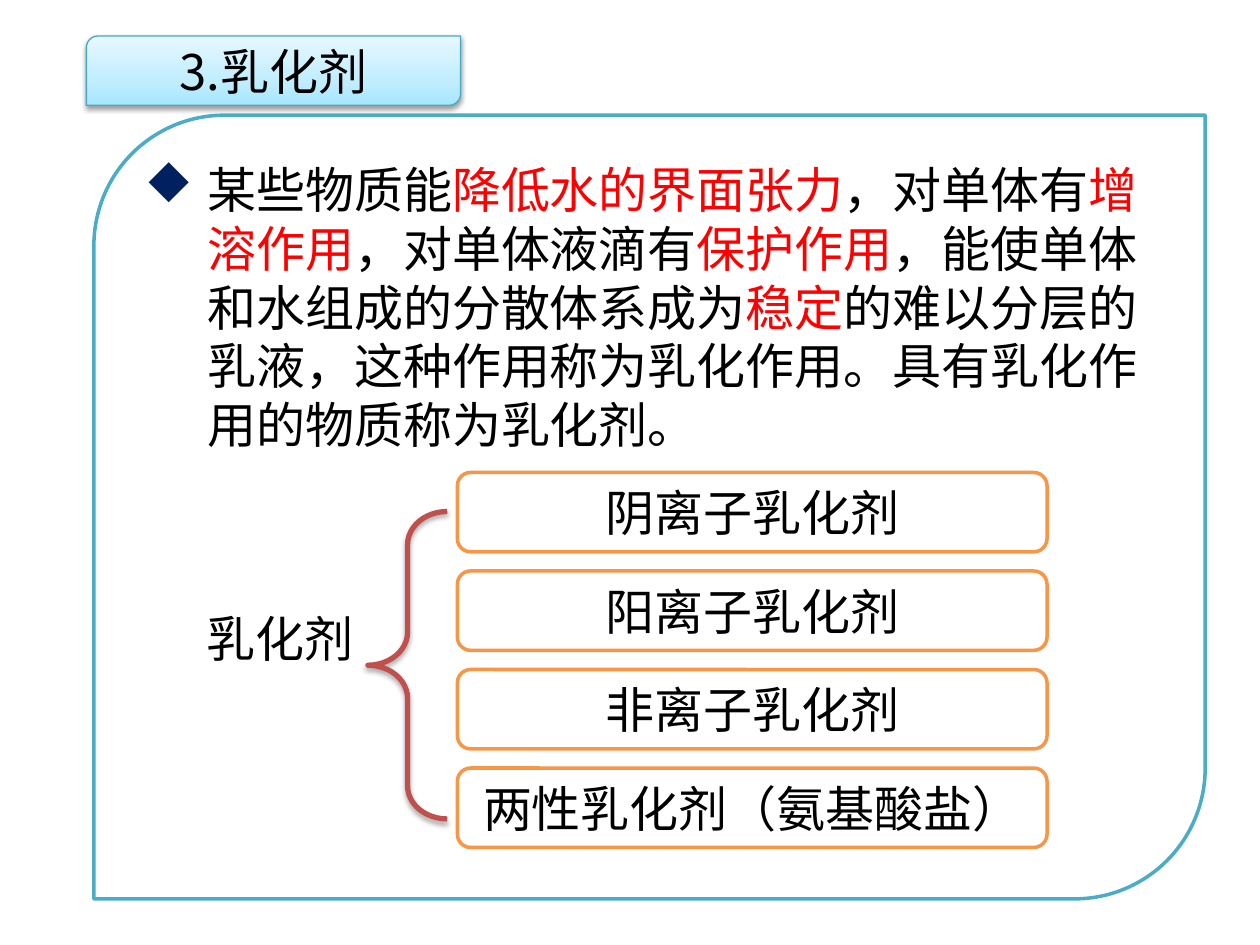
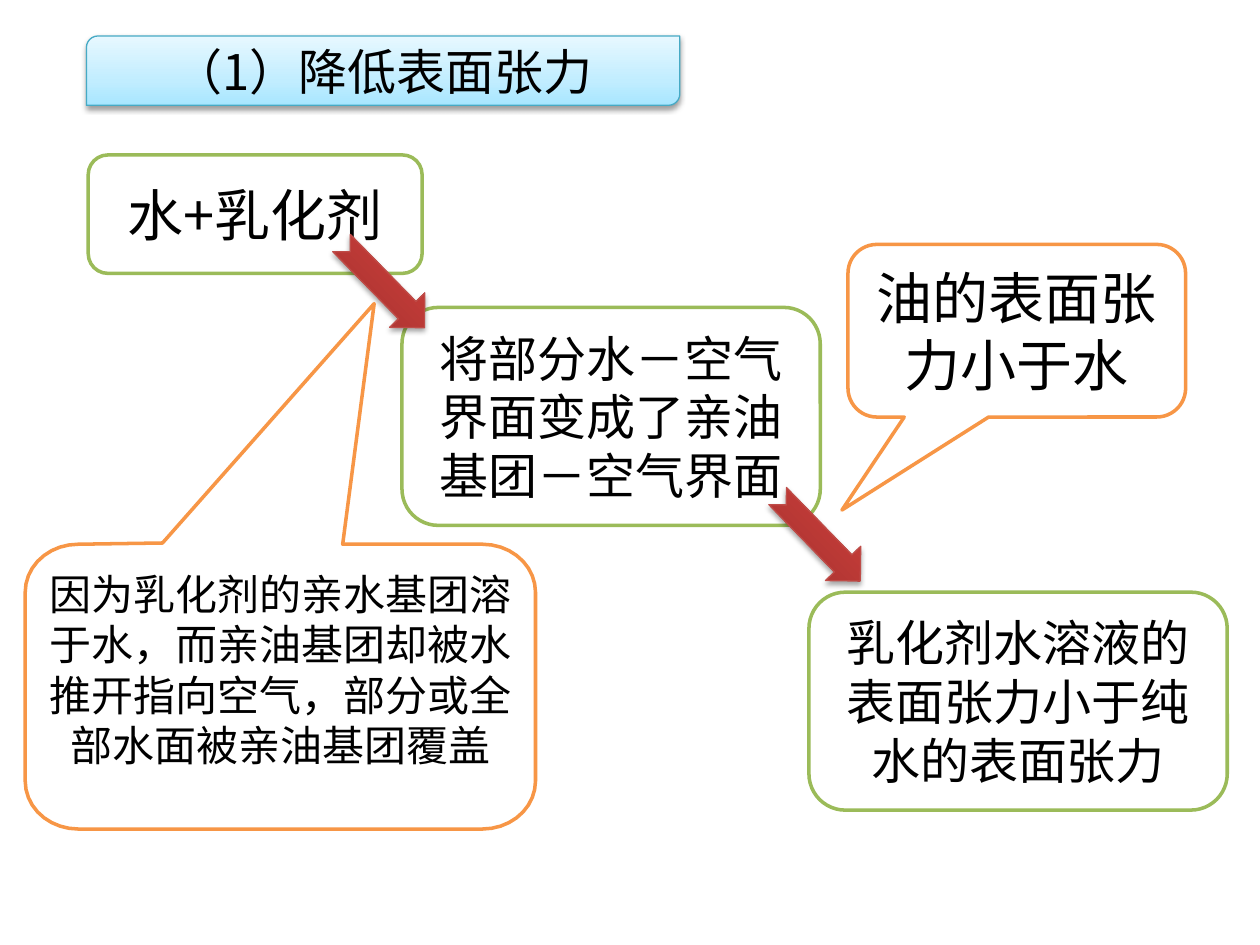
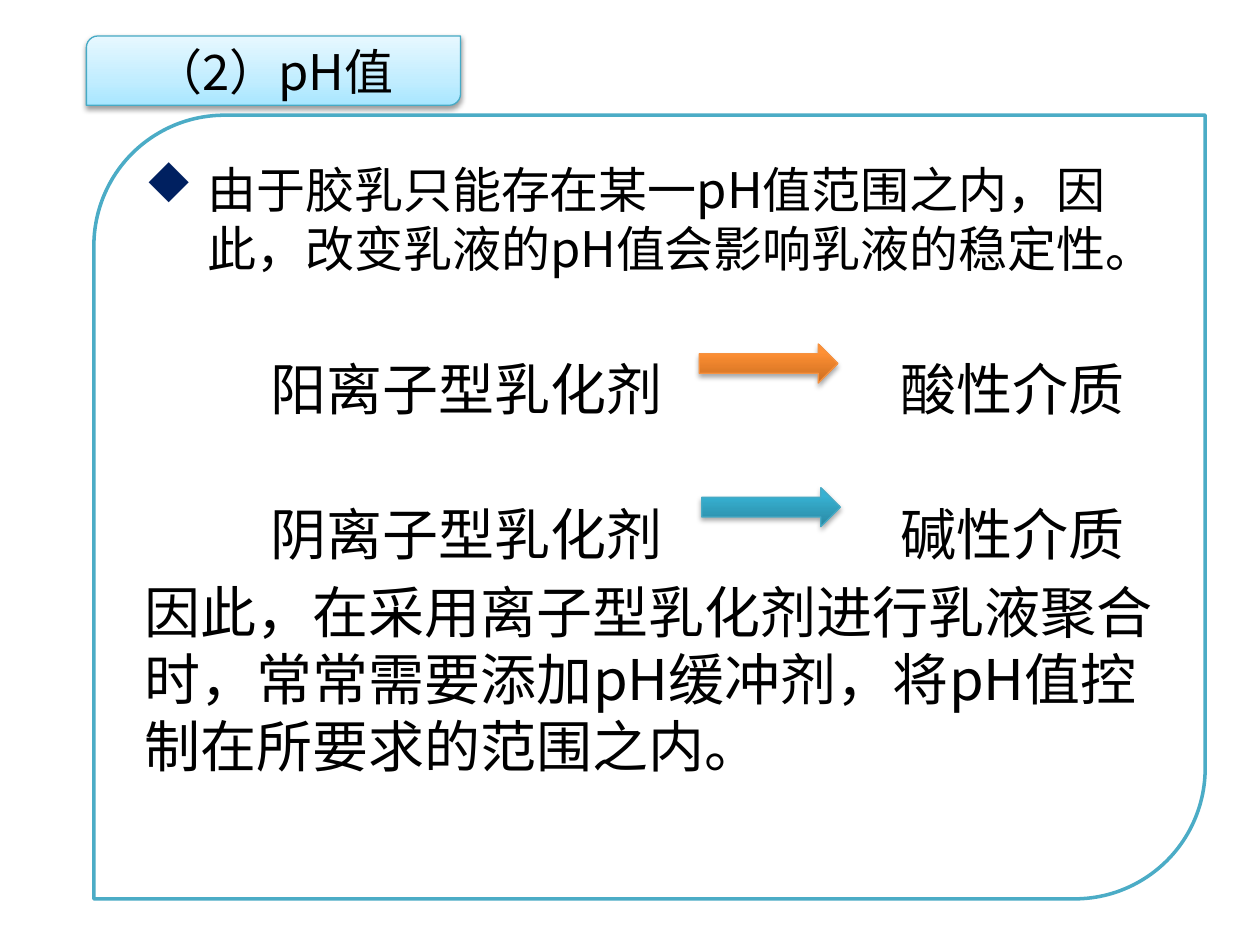
import copy
import math
from lxml import etree
from pptx import Presentation
from pptx import util as u
from pptx.dml.color import RGBColor
from pptx.enum import shapes, text
from pptx.oxml import ns

FONT = "Noto Sans CJK SC"
BLACK = RGBColor(0, 0, 0)
WHITE = RGBColor(0xFF, 0xFF, 0xFF)
RED = RGBColor(0xFF, 0, 0)
TEAL = RGBColor(0x4B, 0xAC, 0xC6)
TEAL_EDGE = RGBColor(0x46, 0xAA, 0xC5)
ORANGE = RGBColor(0xF7, 0x96, 0x46)
ORANGE_EDGE = RGBColor(0xF6, 0x92, 0x40)
GREEN = RGBColor(0x9B, 0xBB, 0x59)
BRICK = RGBColor(0xC0, 0x50, 0x4D)
BRICK_EDGE = RGBColor(0xBF, 0x4C, 0x48)
NAVY = RGBColor(0x00, 0x20, 0x60)
ICE = [(0, RGBColor(0xA7, 0xE6, 0xFF)), (0.35, RGBColor(0xC1, 0xED, 0xFF)), (1, RGBColor(0xE7, 0xF8, 0xFF))]
RED_BLEND = [(0, RGBColor(0x9C, 0x2F, 0x2D)), (0.8, RGBColor(0xCB, 0x3E, 0x3A)), (1, RGBColor(0xCE, 0x3B, 0x37))]
ORANGE_BLEND = [(0, RGBColor(0xCC, 0x6E, 0x20)), (0.8, RGBColor(0xFF, 0x90, 0x34)), (1, RGBColor(0xFF, 0x91, 0x36))]
TEAL_BLEND = [(0, RGBColor(0x2A, 0x88, 0xA2)), (0.8, RGBColor(0x37, 0xB1, 0xD2)), (1, RGBColor(0x34, 0xB4, 0xD6))]

STYLES = {
    "title": (ICE, TEAL_EDGE, 0.75, (38, 1.6)),
    "panel": (None, TEAL, 2, None),
    "brace": (None, BRICK, 3, (35, 1.8)),
    "orange": (WHITE, ORANGE, 2, None),
    "green": (WHITE, GREEN, 2, None),
    "red arrow": (RED_BLEND, BRICK_EDGE, 0.75, (35, 1.8)),
    "orange arrow": (ORANGE_BLEND, ORANGE_EDGE, 0.75, (35, 1.8)),
    "teal arrow": (TEAL_BLEND, TEAL_EDGE, 0.75, (35, 1.8)),
}


def dress(box, style):
    fill, edge, width, shadow = STYLES[style]
    if fill is None:
        box.fill.background()
    elif isinstance(fill, list):
        box.fill.gradient()
        box.fill.gradient_angle = 90
        stops = box._element.spPr.find(".//" + ns.qn("a:gsLst"))
        stops.append(copy.deepcopy(stops[0]))
        for stop, (position, color) in zip(box.fill.gradient_stops, fill):
            stop.color.rgb = color
            stop.position = position
    else:
        box.fill.solid()
        box.fill.fore_color.rgb = fill
    box.line.color.rgb = edge
    box.line.width = u.Pt(width)
    box.shadow.inherit = False
    if shadow:
        opacity, distance = shadow
        effects = box._element.spPr.find(ns.qn("a:effectLst"))
        outer = etree.SubElement(effects, ns.qn("a:outerShdw"), blurRad=str(u.Pt(3.1)),
                                 dist=str(u.Pt(distance)), dir="5400000", rotWithShape="0")
        black = etree.SubElement(outer, ns.qn("a:srgbClr"), val=str(BLACK))
        etree.SubElement(black, ns.qn("a:alpha"), val=str(opacity * 1000))


def write(box, lines, align=text.PP_ALIGN.CENTER, anchor=text.MSO_ANCHOR.MIDDLE, wrap=True):
    frame = box.text_frame
    frame.word_wrap = wrap
    frame.vertical_anchor = anchor
    for number, (size, line) in enumerate(lines):
        para = frame.paragraphs[0] if number == 0 else frame.add_paragraph()
        para.alignment = align
        para.line_spacing = u.Pt(size * 1.2)
        for order, part in enumerate(line.split("|")):
            span = para.add_run()
            span.text = part
            span.font.color.rgb = RED if order % 2 else BLACK
            for name, value in {"name": FONT, "size": u.Pt(size)}.items():
                setattr(span.font, name, value)
            etree.SubElement(span._r.rPr, ns.qn("a:ea"), typeface=FONT)


deck = Presentation()
deck.slide_width, deck.slide_height = u.Inches(10), u.Inches(7.5)
CELL = deck.slide_width // 100
pages = [deck.slides.add_slide(deck.slide_layouts[6]) for _ in range(3)]

KIND = shapes.MSO_SHAPE
DIAGONAL = KIND.ROUND_2_DIAG_RECTANGLE
ROUNDED = KIND.FLOWCHART_ALTERNATE_PROCESS
NOTCHED = KIND.NOTCHED_RIGHT_ARROW

for page, width, title in zip(pages, (29.7, 47.1, 29.7), ("3.乳化剂", "（1）降低表面张力", "（2）pH值")):
    box = page.shapes.add_shape(DIAGONAL, *[round(n * CELL) for n in (6.86, 2.86, width, 5.5)])
    dress(box, "title")
    write(box, [(28, title)])

PANELS = [
    (pages[0], [(28, "某些物质能|降低水的界面张力|，对单体有|增溶作用|，对单体液滴有|保护作用|，能使单体和水组成的分散体系成为|稳定|的难以分层的乳液，这种作用称为乳化作用。具有乳化作用的物质称为乳化剂。")]),
    (pages[2], [
        (28, "由于胶乳只能存在某一pH值范围之内，因此，改变乳液的pH值会影响乳液的稳定性。"),
        (32, "\t阳离子型乳化剂\t酸性介质"),
        (32, "\t阴离子型乳化剂\t碱性介质"),
        (32, "因此，在采用离子型乳化剂进行乳液聚合时，常常需要添加pH缓冲剂，将pH值控制在所要求的范围之内。"),
    ]),
]
for page, lines in PANELS:
    panel = page.shapes.add_shape(DIAGONAL, *[round(n * CELL) for n in (7.45, 9.14, 88.2, 62.2)])
    dress(panel, "panel")
    write(panel, lines, text.PP_ALIGN.LEFT, text.MSO_ANCHOR.TOP)
    first, *others = panel.text_frame.paragraphs
    props = first._p.get_or_add_pPr()
    for name, value in {"marL": u.Inches(0.5), "indent": -u.Inches(0.5), "hangingPunct": 0}.items():
        props.set(name, str(value))
    tint = etree.SubElement(props, ns.qn("a:buClr"))
    etree.SubElement(tint, ns.qn("a:srgbClr"), val=str(NAVY))
    etree.SubElement(props, ns.qn("a:buFont"), typeface="Wingdings", pitchFamily="2", charset="2")
    etree.SubElement(props, ns.qn("a:buChar"), char="u")
    for para in others:
        para.space_before = u.Pt(6)
        if "\t" in para.text:
            para.line_spacing = u.Pt(32 * 2.4)
            tabs = etree.SubElement(para._p.get_or_add_pPr(), ns.qn("a:tabLst"))
            for inches in (1, 6):
                etree.SubElement(tabs, ns.qn("a:tab"), pos=str(u.Inches(inches)), algn="l")

label = pages[0].shapes.add_textbox(*[round(n * CELL) for n in (15.4, 47.8, 13.8, 5.7)])
write(label, [(28, "乳化剂")], text.PP_ALIGN.LEFT, text.MSO_ANCHOR.TOP, False)

PARTS = [(pages[0], KIND.LEFT_BRACE, (29.2, 40.6, 6.3, 24.4), "brace", [], (0.417, 0.5), 0)]
for row, name in enumerate(("阴离子乳化剂", "阳离子乳化剂", "非离子乳化剂", "两性乳化剂（氨基酸盐）")):
    PARTS.append((pages[0], ROUNDED, (36.3, 37.5 + 7.82 * row, 46.8, 6.3), "orange", [(28, name)], (), 0))
PARTS += [
    (pages[1], ROUNDED, (7, 12.3, 26.5, 9.4), "green", [(32, "水+乳化剂")], (), 0),
    (pages[1], ROUNDED, (31.9, 24.4, 33.2, 17.3), "green",
     [(28, "将部分水－空气界面变成了亲油基团－空气界面")], (), 0),
    (pages[1], NOTCHED, (60.3, 40.8, 9.4, 3.9), "red arrow", [], (), 45.8),
    (pages[1], NOTCHED, (25.7, 20.7, 9.4, 3.9), "red arrow", [], (), 45.6),
    (pages[1], ROUNDED, (64.2, 47, 33.2, 17.3), "green",
     [(28, "乳化剂水溶液的"), (28, "表面张力小于纯"), (28, "水的表面张力")], (), 0),
    (pages[1], KIND.ROUNDED_RECTANGULAR_CALLOUT, (67.3, 19.4, 26.8, 13.7), "orange",
     [(32, "油的表面张"), (32, "力小于水")], (-0.518, 1.039, 0.167), 0),
    (pages[2], KIND.RIGHT_ARROW, (55.5, 27.3, 11, 3.1), "orange arrow", [], (), 0),
    (pages[2], KIND.RIGHT_ARROW, (55.7, 38.7, 11, 3.1), "teal arrow", [], (), 0),
]
for page, kind, at, style, lines, adjust, angle in PARTS:
    box = page.shapes.add_shape(kind, *[round(n * CELL) for n in at])
    box.rotation = angle
    for index, value in enumerate(adjust):
        box.adjustments[index] = value
    dress(box, style)
    if lines:
        write(box, lines)

outline = []
for x, y, start in ((6.2, 47, 180), (38.3, 47, 270), (38.3, 62, 0), (6.2, 62, 90)):
    for step in range(10):
        turn = math.radians(start + 10 * step)
        outline.append((x + 4.2 * math.cos(turn), y + 3.8 * math.sin(turn)))
    if start == 180:
        outline += [(12.9, 43.1), (29.7, 24.1), (27.2, 43.2)]
corners = [(round(x * CELL), round(y * CELL)) for x, y in outline]
builder = pages[1].shapes.build_freeform(*corners[0])
builder.add_line_segments(corners[1:], close=True)
reason = builder.convert_to_shape()
dress(reason, "orange")
write(reason, [(24, "因为乳化剂的亲水基团溶于水，而亲油基团却被水推开指向空气，部分或全部水面被亲油基团覆盖")],
      anchor=text.MSO_ANCHOR.TOP)
reason.text_frame.margin_top = 21 * CELL

deck.save("out.pptx")
